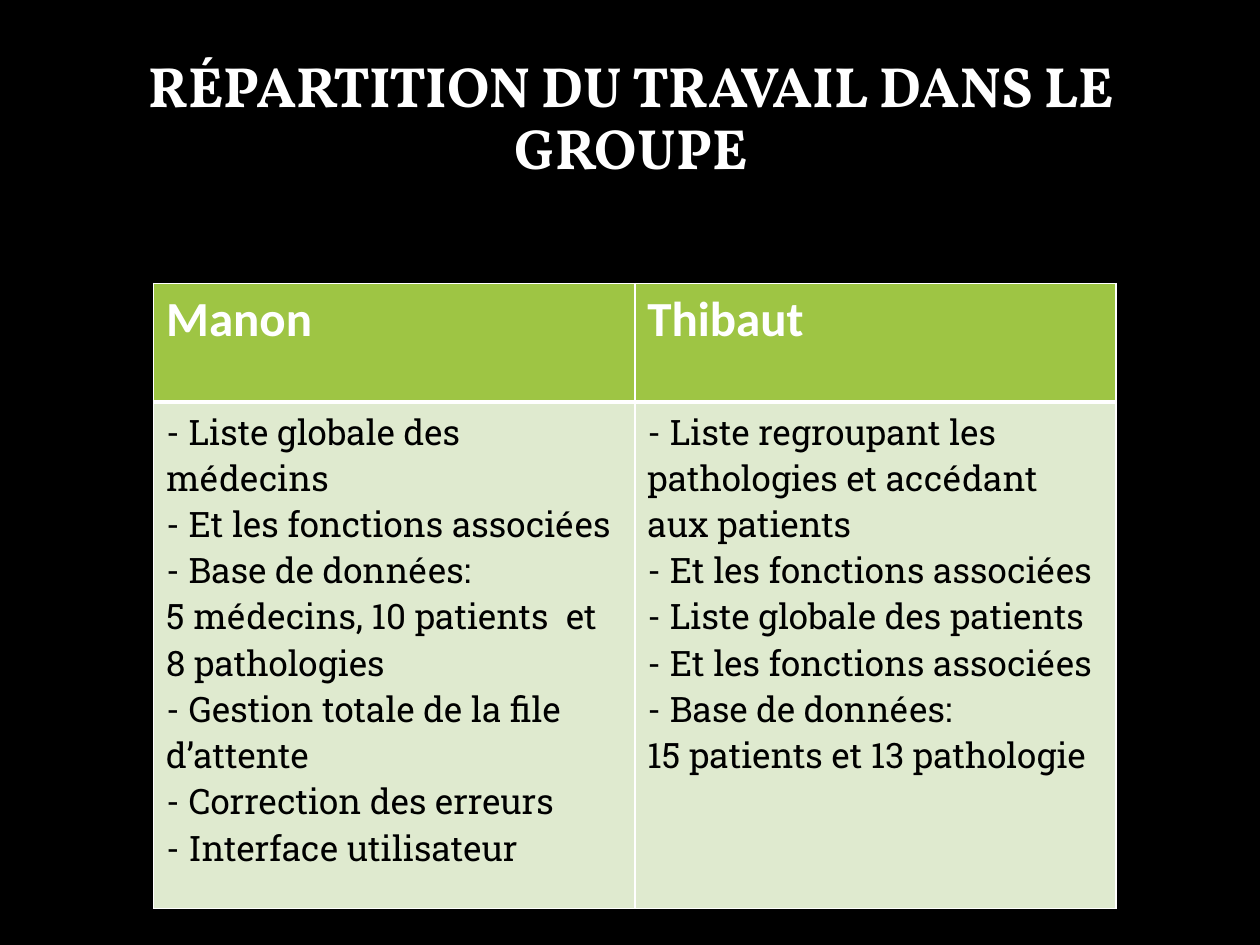
from lxml import etree
from pptx import Presentation
from pptx.dml.color import RGBColor
from pptx.enum import text
from pptx.oxml import ns
from pptx.util import Pt

COLORS = {
    "background": "000000",
    "title": "FFFFFF",
    "header": "9EC544",
    "header_text": "FFFFFF",
    "body": "DFEACF",
    "body_text": "000000",
    "border": "FFFFFF",
}

TITLE = "RÉPARTITION DU TRAVAIL DANS LE GROUPE"
TASKS = {
    "Manon": [
        "- Liste globale des médecins",
        "- Et les fonctions associées",
        "- Base de données:",
        "5 médecins, 10 patients  et",
        "8 pathologies",
        "- Gestion totale de la file d’attente",
        "- Correction des erreurs",
        "- Interface utilisateur",
    ],
    "Thibaut": [
        "- Liste regroupant les pathologies et accédant aux patients",
        "- Et les fonctions associées",
        "- Liste globale des patients",
        "- Et les fonctions associées",
        "- Base de données:",
        "15 patients et 13 pathologie",
    ],
}


def color(name):
    return RGBColor.from_string(COLORS[name])


def format_text(frame, font, size, color_name, bold):
    for para in frame.paragraphs:
        for span in para.runs:
            span.font.name = font
            span.font.size = Pt(size)
            span.font.bold = bold
            span.font.color.rgb = color(color_name)


def set_borders(cell, widths):
    """Draw solid borders; widths maps each of L, R, T and B to points."""
    properties = cell._tc.get_or_add_tcPr()
    for index, side in enumerate("LRTB"):
        line = etree.Element(ns.qn(f"a:ln{side}"), w=str(Pt(widths[side])))
        fill = etree.SubElement(line, ns.qn("a:solidFill"))
        etree.SubElement(fill, ns.qn("a:srgbClr"), val=COLORS["border"])
        properties.insert(index, line)


def place_title(page, left, top, width, height):
    title = page.shapes.title
    title.left, title.top, title.width, title.height = left, top, width, height
    frame = title.text_frame
    frame.text = TITLE
    frame.word_wrap = True
    frame.auto_size = text.MSO_AUTO_SIZE.NONE
    frame.vertical_anchor = text.MSO_ANCHOR.MIDDLE
    para = frame.paragraphs[0]
    para.alignment = text.PP_ALIGN.CENTER
    para.line_spacing = 0.9
    para.space_before = Pt(0)
    format_text(frame, "Vollkorn", 32.4, "title", True)


def fill_cell(cell, content, fill, borders, **style):
    cell.text_frame.text = content
    cell.fill.solid()
    cell.fill.fore_color.rgb = color(fill)
    format_text(cell.text_frame, **style)
    set_borders(cell, borders)


def place_task_table(page, left, top, width, height, header_height):
    table = page.shapes.add_table(2, len(TASKS), left, top, width, height).table
    table.rows[0].height = header_height
    table.rows[1].height = height - header_height
    for column, (person, tasks) in enumerate(TASKS.items()):
        fill_cell(table.cell(0, column), person, "header",
                  {"L": 1, "R": 1, "T": 1, "B": 3},
                  font="Calibri", size=28, color_name="header_text", bold=True)
        fill_cell(table.cell(1, column), "\n".join(tasks), "body",
                  {"L": 1, "R": 1, "T": 3, "B": 1},
                  font="Roboto Slab", size=20, color_name="body_text", bold=False)


def main():
    deck = Presentation()
    deck.slide_width, deck.slide_height = Pt(720), Pt(540)
    page = deck.slides.add_slide(deck.slide_layouts[5])
    page.background.fill.solid()
    page.background.fill.fore_color.rgb = color("background")
    place_title(page, Pt(36.7), Pt(37.4), Pt(648), Pt(62.6))
    place_task_table(page, Pt(87.8), Pt(162), Pt(550), Pt(357.1), Pt(67.7))
    deck.save("out.pptx")


if __name__ == "__main__":
    main()
